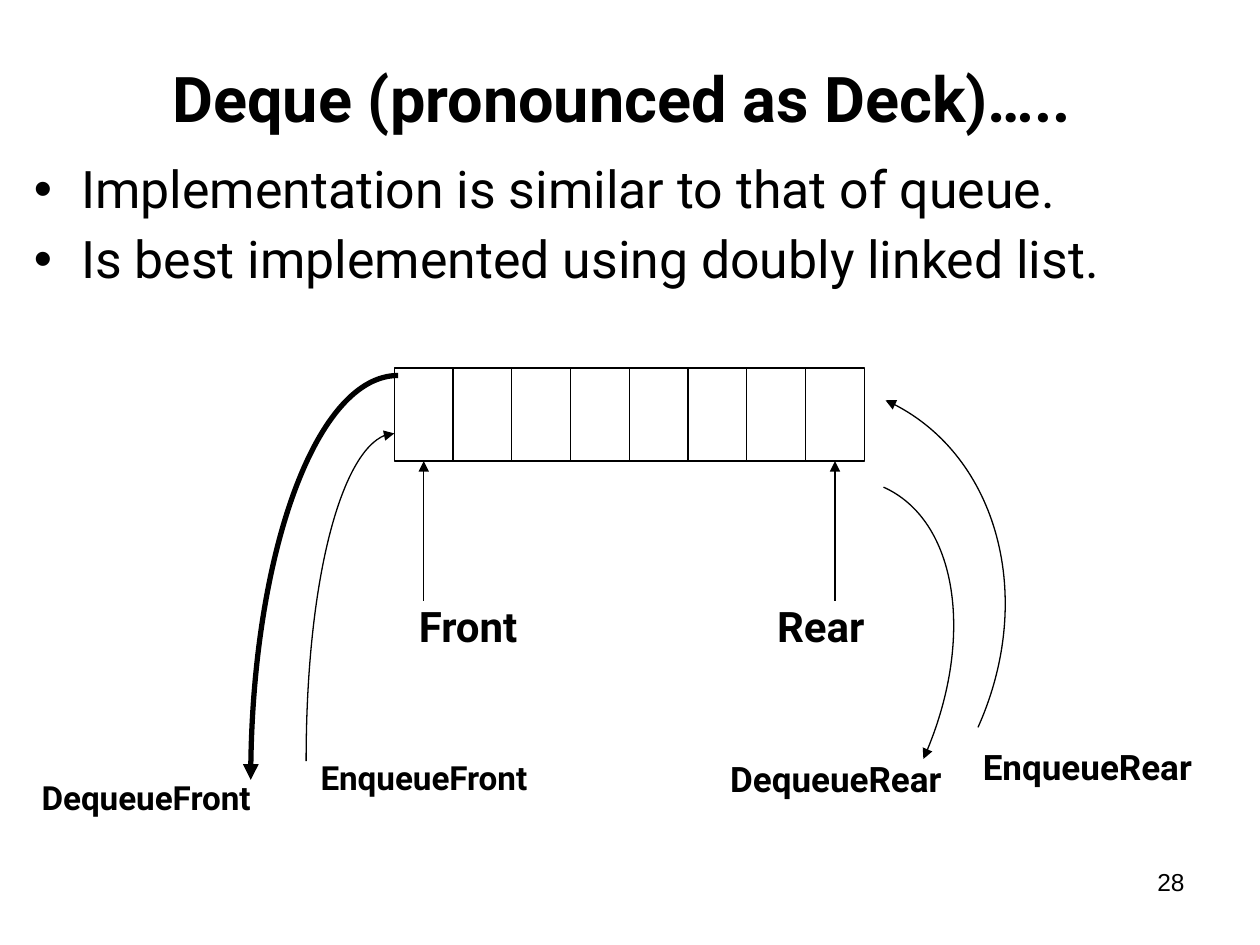
from lxml.etree import SubElement
from pptx import Presentation
from pptx.dml.color import RGBColor
from pptx.enum.shapes import MSO_CONNECTOR, MSO_SHAPE
from pptx.enum.text import MSO_ANCHOR, PP_ALIGN
from pptx.oxml.ns import qn
from pptx.util import Inches, Pt

BLACK = RGBColor(0, 0, 0)
WHITE = RGBColor(255, 255, 255)

# Content
TITLE = "Deque (pronounced as Deck)….. "
BULLETS = [
    "Implementation is similar to that of queue.",
    "Is best implemented using doubly linked list.",
]
PAGE_NUMBER = "28"
LEFT, CENTER = PP_ALIGN.LEFT, PP_ALIGN.CENTER
LABELS = [  # text, left, top, width, size, alignment
    ("DequeueFront", 0.33, 6.17, 1.87, 19, LEFT),
    ("EnqueueRear", 7.8, 5.92, 1.87, 20, LEFT),
    ("DequeueRear", 5.7, 6.01, 1.87, 20, CENTER),
    ("EnqueueFront", 2.43, 6.01, 1.87, 19, CENTER),
    ("Front", 3.13, 4.77, 1.17, 24, CENTER),
    ("Rear", 5.93, 4.77, 1.17, 24, CENTER),
]
ARCS = [  # left, top, width, height, rotation, line width, arrow end
    (1.99, 2.98, 1.17, 3.21, 0, 3, "tailEnd"),
    (6.25, 4.36, 1.84, 1.17, 114.1, 0.75, "headEnd"),
    (2.43, 3.44, 0.7, 2.6, 0, 0.75, "headEnd"),
    (6.36, 3.61, 2.07, 1.73, 114.1, 0.75, "tailEnd"),
]
ARC_CONTROL = 0.45  # control point position along each side of a quarter ellipse
CELLS = 8
ARRAY_LEFT, ARRAY_TOP, ARRAY_WIDTH, ROW_HEIGHT = 3.13, 2.92, 3.73, 0.74
ARRAY_BOTTOM = ARRAY_TOP + ROW_HEIGHT
CELL_WIDTH = ARRAY_WIDTH / CELLS
POINTER_START = 4.77
BULLET_INDENT = Pt(27)

presentation = Presentation()
presentation.slide_width, presentation.slide_height = Inches(10), Inches(7.5)
slide = presentation.slides.add_slide(presentation.slide_layouts[6])


def add_text(lines, box, size, font="Roboto", bold=False, align=LEFT, margins=(0.1, 0.05)):
    shape = slide.shapes.add_textbox(*map(Inches, box))
    frame = shape.text_frame
    frame.word_wrap = True
    frame.margin_left = frame.margin_right = Inches(margins[0])
    frame.margin_top = frame.margin_bottom = Inches(margins[1])
    frame.text = "\n".join(lines)
    for paragraph in frame.paragraphs:
        paragraph.alignment = align
        for run in paragraph.runs:
            run.font.name, run.font.size = font, Pt(size)
            run.font.bold, run.font.color.rgb = bold, BLACK
    return shape


def set_line(shape, width=0.75, arrow_end=None):
    shape.line.color.rgb, shape.line.width = BLACK, Pt(width)
    if arrow_end:
        SubElement(shape.line._get_or_add_ln(), qn(f"a:{arrow_end}"), type="triangle")


def add_line(x, start, end, arrow_end=None):
    line = slide.shapes.add_connector(
        MSO_CONNECTOR.STRAIGHT, Inches(x), Inches(start), Inches(x), Inches(end))
    set_line(line, arrow_end=arrow_end)
    SubElement(line._element.spPr, qn("a:effectLst"))
    return line


def add_arc(left, top, width, height, rotation, line_width, arrow_end):
    """Quarter ellipse from the top right to the bottom left of its frame."""
    points = [
        (left + width, top),
        (left + ARC_CONTROL * width, top),
        (left, top + ARC_CONTROL * height),
        (left, top + height),
    ]
    start, *rest = [tuple(map(Inches, point)) for point in points]
    builder = slide.shapes.build_freeform(*start)
    builder.add_line_segments(rest, close=False)
    arc = builder.convert_to_shape()
    # Merge the three segments into one Bézier curve
    segments = list(arc._element.iter(qn("a:lnTo")))
    outline = segments[0].getparent()
    bezier = SubElement(outline, qn("a:cubicBezTo"))
    for segment in segments:
        bezier.append(segment[0])
        outline.remove(segment)
    arc.rotation = rotation
    arc.shadow.inherit = False
    arc.fill.background()
    set_line(arc, line_width, arrow_end)


# Page number and bullets
add_text([PAGE_NUMBER], (7.17, 6.83, 2.33, 0.52), 14, "Arial", align=PP_ALIGN.RIGHT)
body = add_text(BULLETS, (0.17, 1.25, 9.58, 1.42), 29.6)
for index, paragraph in enumerate(body.text_frame.paragraphs):
    paragraph.line_spacing = 0.9
    if index:
        paragraph.space_before = Pt(8)
    properties = paragraph._p.get_or_add_pPr()
    properties.set("marL", str(BULLET_INDENT))
    properties.set("indent", str(-BULLET_INDENT))
    SubElement(properties, qn("a:buFont"), typeface="Arial")
    SubElement(properties, qn("a:buChar"), char="•")

# Array of cells
array = slide.shapes.add_shape(
    MSO_SHAPE.RECTANGLE,
    *map(Inches, (ARRAY_LEFT, ARRAY_TOP, ARRAY_WIDTH, ROW_HEIGHT)))
array.shadow.inherit = False
array.fill.solid()
array.fill.fore_color.rgb = WHITE
set_line(array)
for cell in range(1, CELLS):
    divider = add_line(ARRAY_LEFT + cell * CELL_WIDTH, ARRAY_TOP, ARRAY_BOTTOM)
    if cell == CELLS / 2:
        divider.begin_connect(array, 0)
        divider.end_connect(array, 2)

# Labels
for text, left, top, width, size, align in LABELS:
    label = add_text([text], (left, top, width, ROW_HEIGHT), size,
                     bold=True, align=align, margins=(0, 0))
    label.fill.solid()
    label.fill.fore_color.rgb = WHITE

# Pointers to the first and last cells, then the operation arrows
for cell in (0, CELLS - 1):
    add_line(ARRAY_LEFT + (cell + 0.5) * CELL_WIDTH, POINTER_START, ARRAY_BOTTOM, "tailEnd")
for arc_settings in ARCS:
    add_arc(*arc_settings)

# Title
title = add_text([TITLE], (0.5, 0.3, 9, 0.95), 36, bold=True, align=CENTER)
title.text_frame.vertical_anchor = MSO_ANCHOR.MIDDLE

presentation.save("out.pptx")
